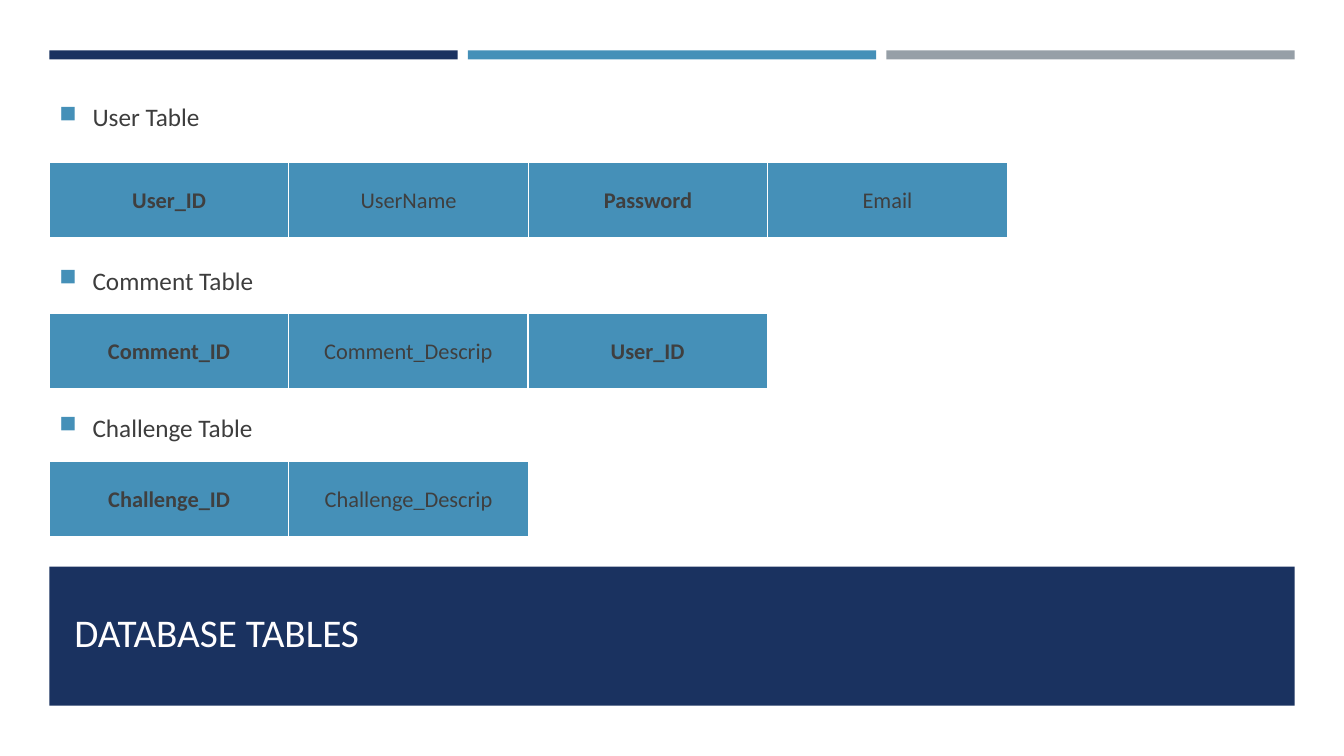
from lxml.etree import SubElement as Sub
from pptx import Presentation
from pptx.dml.color import RGBColor
from pptx.enum.shapes import MSO_SHAPE as Shape
from pptx.enum.text import MSO_ANCHOR as Anchor, PP_ALIGN as Align
from pptx.oxml.ns import qn
from pptx.util import Emu, Pt

SCALE = 9144
FONT = "Calibri"
NAVY = RGBColor(0x1A, 0x32, 0x60)
BLUE = RGBColor(0x45, 0x90, 0xB8)
GRAY = RGBColor(0x96, 0x9F, 0xA7)
WHITE = RGBColor(0xFF, 0xFF, 0xFF)
CREAM = RGBColor(0xFF, 0xFE, 0xFF)
INK = RGBColor(0x3D, 0x3D, 0x3D)
CELL = RGBColor(0x3F, 0x3F, 0x3F)
EDGES = {"a:lnL": 1, "a:lnR": 1, "a:lnT": 1, "a:lnB": 3}
LEFT = 49
GROUPS = [
    ("User Table", 96, 161, 950,
     [("User_ID", True), ("UserName", False), ("Password", True), ("Email", False)]),
    ("Comment Table", 258, 311, 712,
     [("Comment_ID", True), ("Comment_Descrip", False), ("User_ID", True)]),
    ("Challenge Table", 404, 458, 475,
     [("Challenge_ID", True), ("Challenge_Descrip", False)]),
]


def px(*nums):
    return [Emu(n * SCALE) for n in nums]


def add_rect(slide, box, color):
    rect = slide.shapes.add_shape(Shape.RECTANGLE, *px(*box))
    rect.shadow.inherit = False
    rect.fill.solid()
    rect.fill.fore_color.rgb = color
    rect.line.fill.background()


def add_run(para, text, size, color, bold=False):
    run = para.add_run()
    run.text = text
    run.font.name = FONT
    run.font.size = Pt(size)
    run.font.bold = bold
    run.font.color.rgb = color


def add_text(slide, box, anchor, text, size, color):
    frame = slide.shapes.add_textbox(*px(*box)).text_frame
    frame.word_wrap = True
    frame.vertical_anchor = anchor
    para = frame.paragraphs[0]
    add_run(para, text, size, color)
    return para


def add_bars(slide, left, top, width):
    for i, color in enumerate((NAVY, BLUE, GRAY)):
        add_rect(slide, (left + i * (width + 10), top, width, 10), color)


def add_label(slide, box, text):
    para = add_text(slide, box, Anchor.TOP, text, 18, INK)
    para.space_after = Pt(6)
    props = para._p.get_or_add_pPr()
    indent = px(33)[0]
    props.set("marL", str(indent))
    props.set("indent", str(-indent))
    Sub(Sub(props, qn("a:buClr")), qn("a:srgbClr"), val=str(BLUE))
    Sub(props, qn("a:buSzPct"), val="92000")
    Sub(props, qn("a:buChar"), char="■")


def add_edges(cell):
    props = cell._tc.get_or_add_tcPr()
    for tag, width in EDGES.items():
        line = Sub(props, qn(tag), w=str(Pt(width)))
        Sub(Sub(line, qn("a:solidFill")), qn("a:srgbClr"), val=str(WHITE))


def add_fields(slide, box, fields):
    table = slide.shapes.add_table(1, len(fields), *px(*box)).table
    table.first_row = False
    table.horz_banding = False
    for i, (text, bold) in enumerate(fields):
        table.columns[i].width = px(box[2])[0] // len(fields)
        cell = table.cell(0, i)
        add_edges(cell)
        cell.fill.solid()
        cell.fill.fore_color.rgb = BLUE
        cell.vertical_anchor = Anchor.MIDDLE
        para = cell.text_frame.paragraphs[0]
        para.alignment = Align.CENTER
        add_run(para, text, 16, CELL, bold)


def add_title(slide, left, top, width, height):
    add_rect(slide, (left, top, width, height), NAVY)
    box = (left + 15, top + 14, width - 29, 79)
    add_text(slide, box, Anchor.BOTTOM, "DATABASE TABLES", 28, CREAM)


def main():
    deck = Presentation()
    deck.slide_width, deck.slide_height = px(1333, 750)
    slide = deck.slides.add_slide(deck.slide_layouts[6])
    add_bars(slide, LEFT, 50, 405)
    add_rect(slide, (0, 59, 1333, 691), WHITE)
    add_title(slide, LEFT, 562, 1235, 138)
    for name, top, row, width, fields in GROUPS:
        add_label(slide, (LEFT, top, 806, 67), name)
        add_fields(slide, (LEFT, row, width, 76), fields)
    deck.save("out.pptx")


if __name__ == "__main__":
    main()
